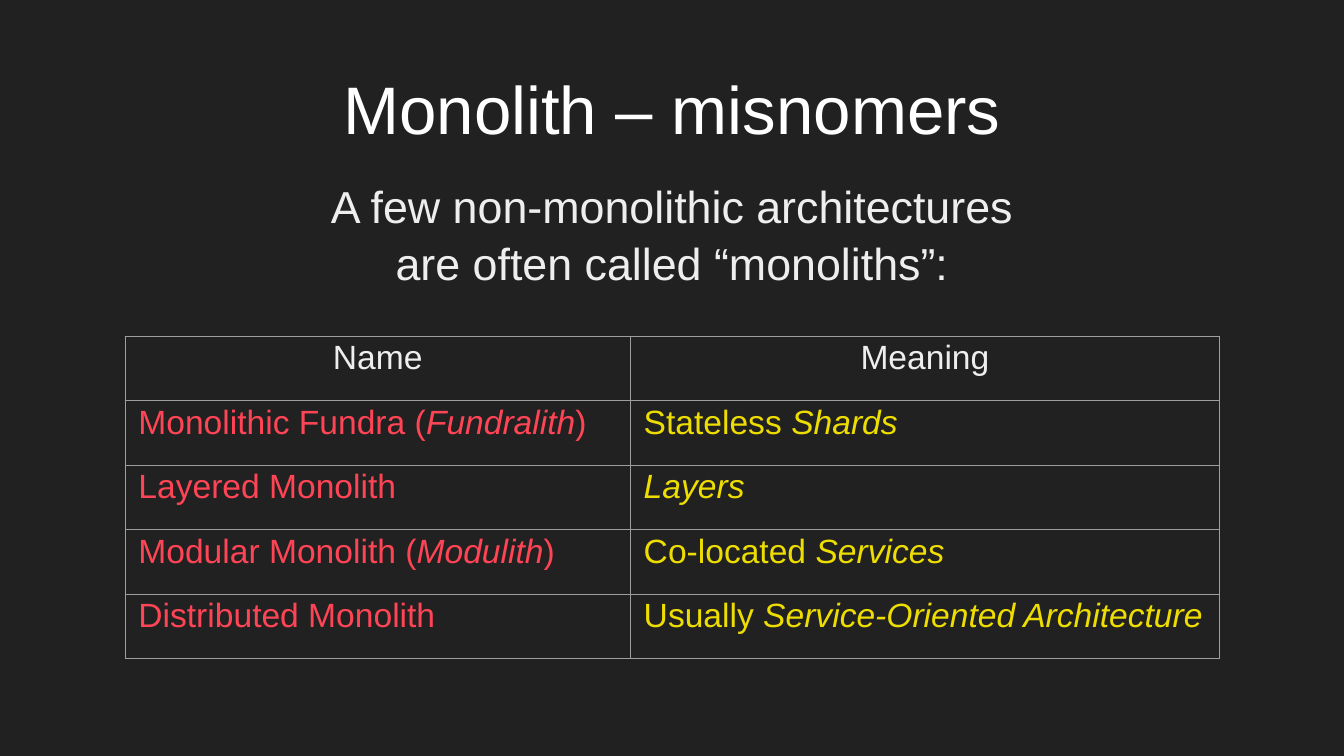
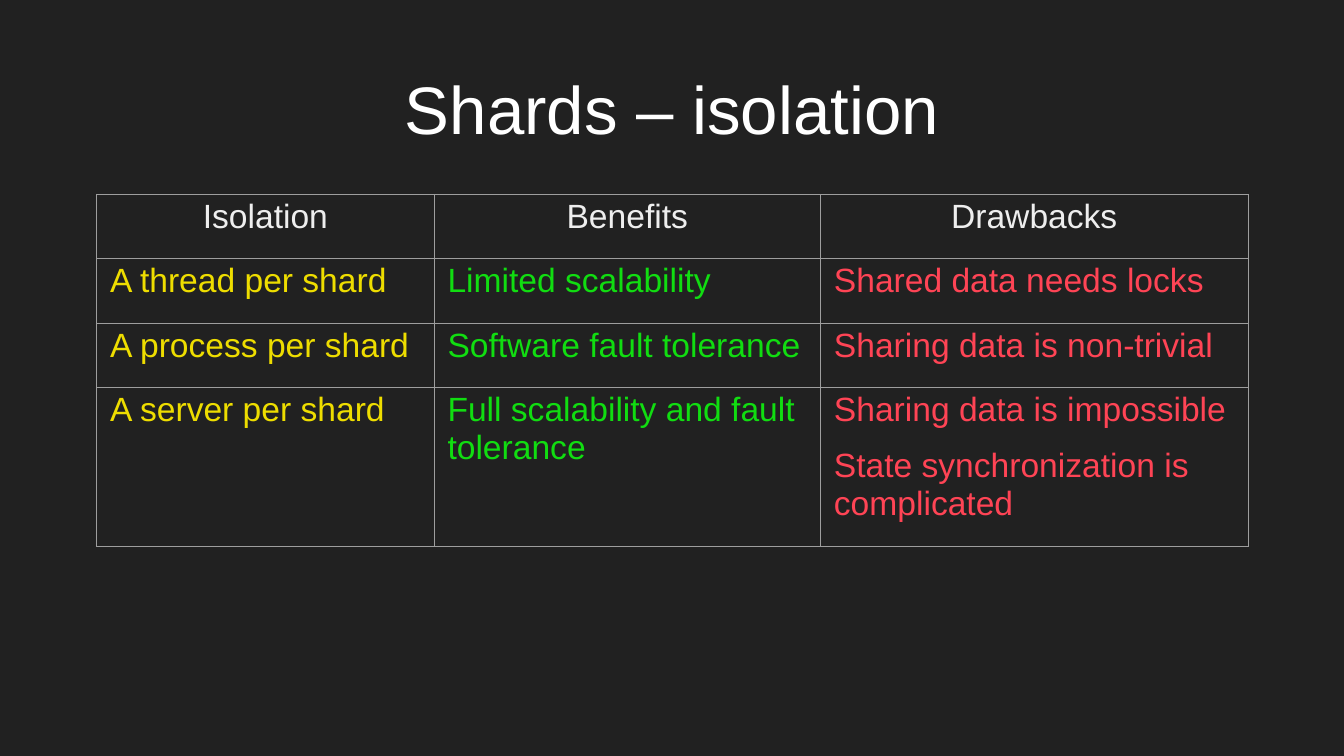
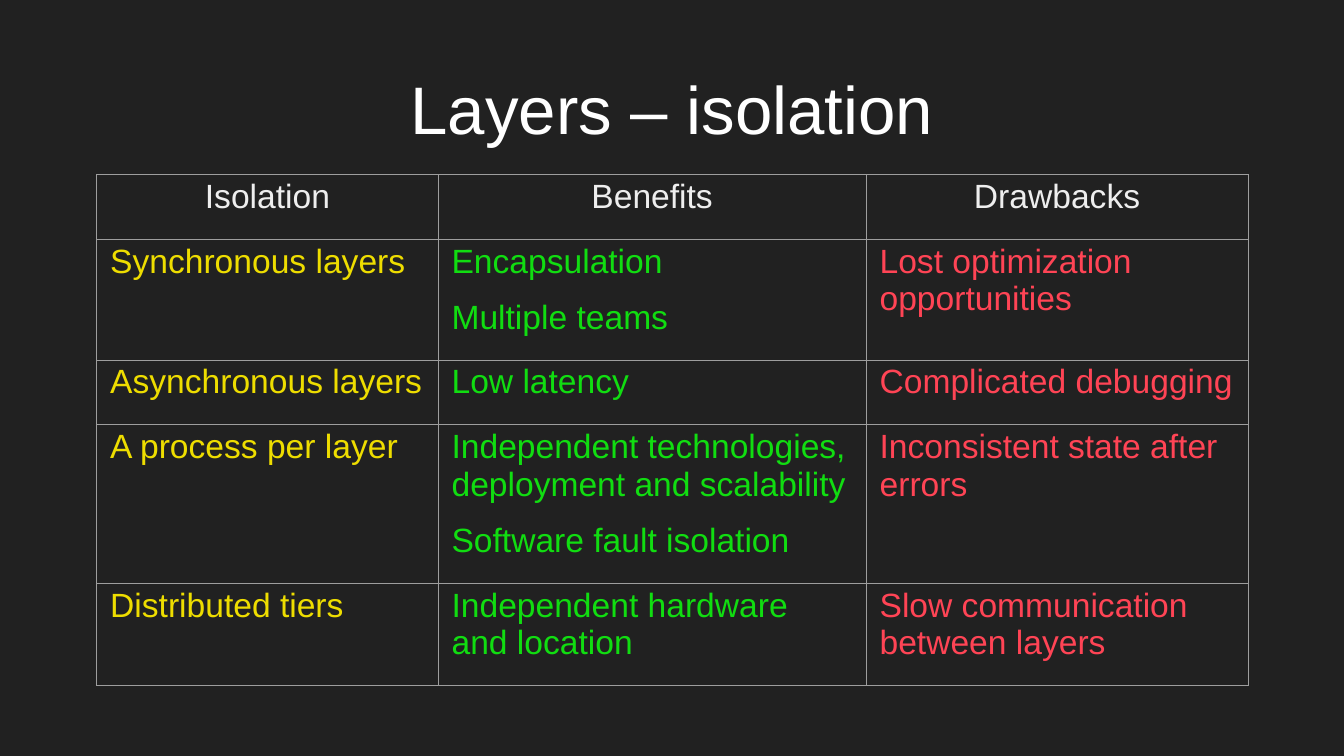
from lxml.etree import SubElement
from pptx import Presentation
from pptx.dml.color import RGBColor
from pptx.enum.text import MSO_ANCHOR, MSO_AUTO_SIZE, PP_ALIGN
from pptx.oxml import parse_xml
from pptx.oxml.ns import nsdecls, qn
from pptx.util import Inches, Pt

BACKGROUND = RGBColor(0x21, 0x21, 0x21)
WHITE = RGBColor(0xFF, 0xFF, 0xFF)
LIGHT = RGBColor(0xEE, 0xEE, 0xEE)
GRID = RGBColor(0x9E, 0x9E, 0x9E)
RED = RGBColor(0xFF, 0x44, 0x55)
YELLOW = RGBColor(0xEE, 0xDD, 0x00)
GREEN = RGBColor(0x11, 0xDD, 0x11)

FONT = "Arial"
TITLE_BOX = (0.68, 0.97, 18.64, 1.25)
LEAD_BOX = (4.56, 2.5, 10.88, 1.93)
TITLE_ONLY, TITLE_AND_BODY = 5, 1

ISOLATION_HEADINGS = ["Isolation", "Benefits", "Drawbacks"]
ISOLATION_COLORS = [YELLOW, GREEN, RED]

MISNOMERS = [
    ["Name", "Meaning"],
    ["Monolithic Fundra (*Fundralith*)", "Stateless *Shards*"],
    ["Layered Monolith", "*Layers*"],
    ["Modular Monolith (*Modulith*)", "Co-located *Services*"],
    ["Distributed Monolith", "Usually *Service-Oriented Architecture*"],
]
SHARDS = [
    ISOLATION_HEADINGS,
    ["A thread per shard", "Limited scalability", "Shared data needs locks"],
    ["A process per shard", "Software fault tolerance", "Sharing data is non-trivial"],
    ["A server per shard", "Full scalability and fault tolerance",
     "Sharing data is impossible\nState synchronization is complicated"],
]
LAYERS = [
    ISOLATION_HEADINGS,
    ["Synchronous layers", "Encapsulation\nMultiple teams", "Lost optimization opportunities"],
    ["Asynchronous layers", "Low latency", "Complicated debugging"],
    ["A process per layer",
     "Independent technologies, deployment and scalability\nSoftware fault isolation",
     "Inconsistent state after errors"],
    ["Distributed tiers", "Independent hardware and location",
     "Slow communication between layers"],
]


def style_paragraph(paragraph, size, color, align):
    paragraph.alignment = align
    paragraph.font.name = FONT
    paragraph.font.size = Pt(size)
    paragraph.font.color.rgb = color


def fill_placeholder(placeholder, box, text, size, color):
    placeholder.left, placeholder.top, placeholder.width, placeholder.height = map(Inches, box)
    frame = placeholder.text_frame
    frame.text = text
    frame.word_wrap = True
    frame.auto_size = MSO_AUTO_SIZE.NONE
    frame.vertical_anchor = MSO_ANCHOR.MIDDLE
    frame.margin_left = frame.margin_right = Inches(0.2)
    frame.margin_top = frame.margin_bottom = Inches(0.2)
    paragraph = frame.paragraphs[0]
    properties = paragraph._p.get_or_add_pPr()
    properties.set("marL", "0")
    properties.set("indent", "0")
    SubElement(properties, qn("a:buNone"))
    paragraph.space_before = Pt(0)
    style_paragraph(paragraph, size, color, PP_ALIGN.CENTER)
    return paragraph


def add_titled_slide(deck, layout, title):
    slide = deck.slides.add_slide(deck.slide_layouts[layout])
    fill_placeholder(slide.shapes.title, TITLE_BOX, title, 72, WHITE)
    return slide


def add_lead(slide, text):
    paragraph = fill_placeholder(slide.placeholders[1], LEAD_BOX, text, 48, LIGHT)
    paragraph.line_spacing = 1.05


def draw_borders(cell):
    cell.fill.background()
    properties = cell._tc.get_or_add_tcPr()
    for position, side in enumerate(("lnL", "lnR", "lnT", "lnB")):
        properties.insert(position, parse_xml(
            f'<a:{side} {nsdecls("a")} w="{Pt(0.75)}"><a:solidFill>'
            f'<a:srgbClr val="{GRID}"/></a:solidFill></a:{side}>'))


def fill_cell(cell, text, color, align):
    cell.margin_left = cell.margin_right = Inches(0.2)
    cell.margin_top = cell.margin_bottom = Inches(0.05)
    draw_borders(cell)
    for index, line in enumerate(text.split("\n")):
        if index:
            paragraph = cell.text_frame.add_paragraph()
            paragraph.space_before = Pt(20)
        else:
            paragraph = cell.text_frame.paragraphs[0]
        style_paragraph(paragraph, 36, color, align)
        for part, words in enumerate(line.split("*")):
            if words:
                run = paragraph.add_run()
                run.text = words
                run.font.italic = part % 2 == 1


def add_comparison(slide, left, top, widths, heights, rows, colors):
    table = slide.shapes.add_table(
        len(rows), len(widths), Inches(left), Inches(top),
        Inches(sum(widths)), Inches(sum(heights))).table
    table.first_row = table.horz_banding = False
    for column, width in zip(table.columns, widths):
        column.width = Inches(width)
    for row, height in zip(table.rows, heights):
        row.height = Inches(height)
    for r, texts in enumerate(rows):
        for c, text in enumerate(texts):
            color, align = (colors[c], PP_ALIGN.LEFT) if r else (LIGHT, PP_ALIGN.CENTER)
            fill_cell(table.cell(r, c), text, color, align)


def main():
    deck = Presentation()
    deck.slide_width, deck.slide_height = Inches(20), Inches(11.25)
    background = deck.slide_master.background.fill
    background.solid()
    background.fore_color.rgb = BACKGROUND

    misnomers = add_titled_slide(deck, TITLE_AND_BODY, "Monolith – misnomers")
    add_lead(misnomers, "A few non-monolithic architectures are often called “monoliths”:")
    add_comparison(misnomers, 1.86, 5, [7.52, 8.77], [0.96] * 5, MISNOMERS, [RED, YELLOW])

    shards = add_titled_slide(deck, TITLE_ONLY, "Shards – isolation")
    add_comparison(shards, 1.44, 2.89, [5.02, 5.75, 6.36], [0.96, 0.96, 0.96, 2.36],
                   SHARDS, ISOLATION_COLORS)

    layers = add_titled_slide(deck, TITLE_ONLY, "Layers – isolation")
    add_comparison(layers, 1.44, 2.6, [5.08, 6.37, 5.68], [0.96, 1.8, 0.96, 2.36, 1.52],
                   LAYERS, ISOLATION_COLORS)

    deck.save("out.pptx")


if __name__ == "__main__":
    main()
